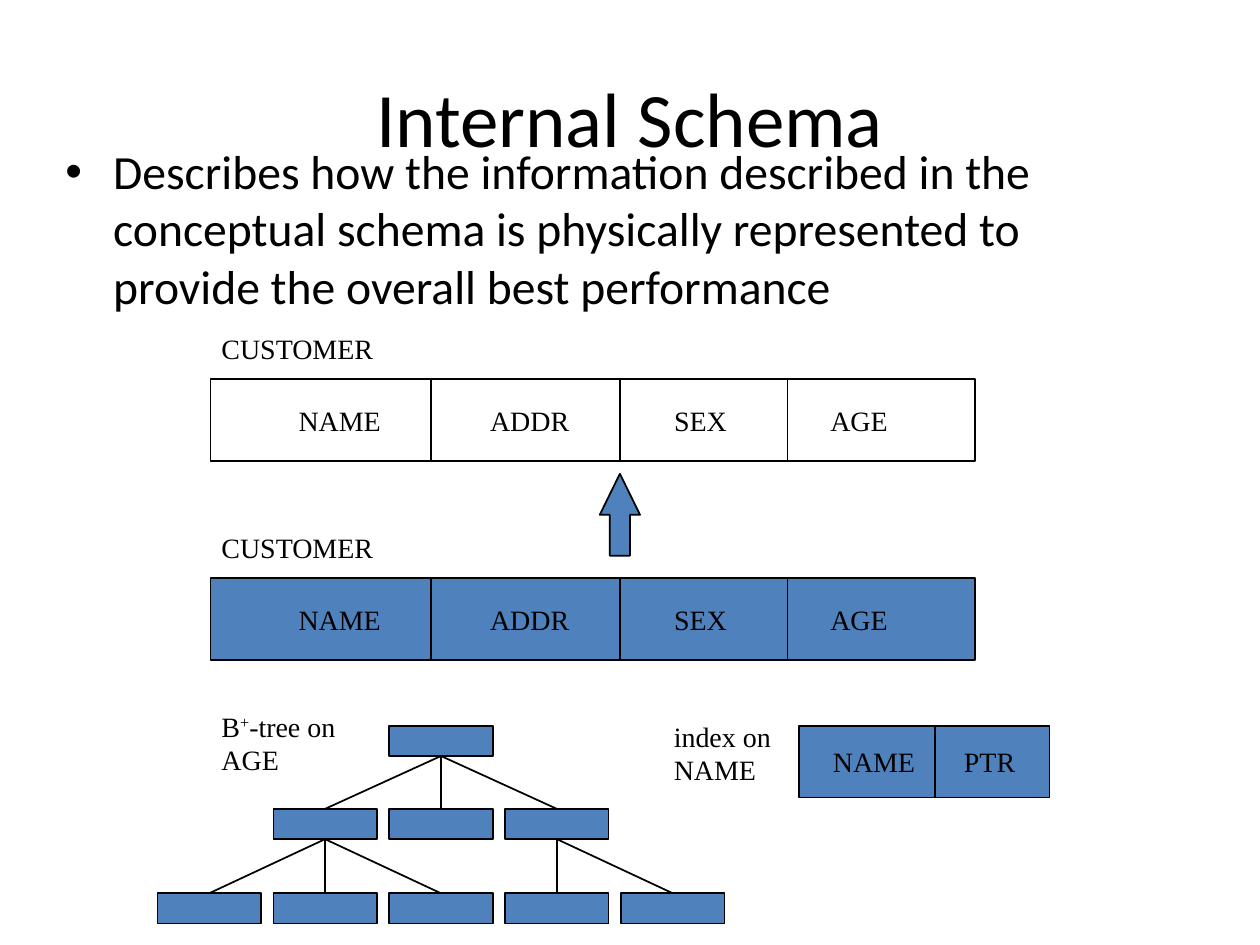
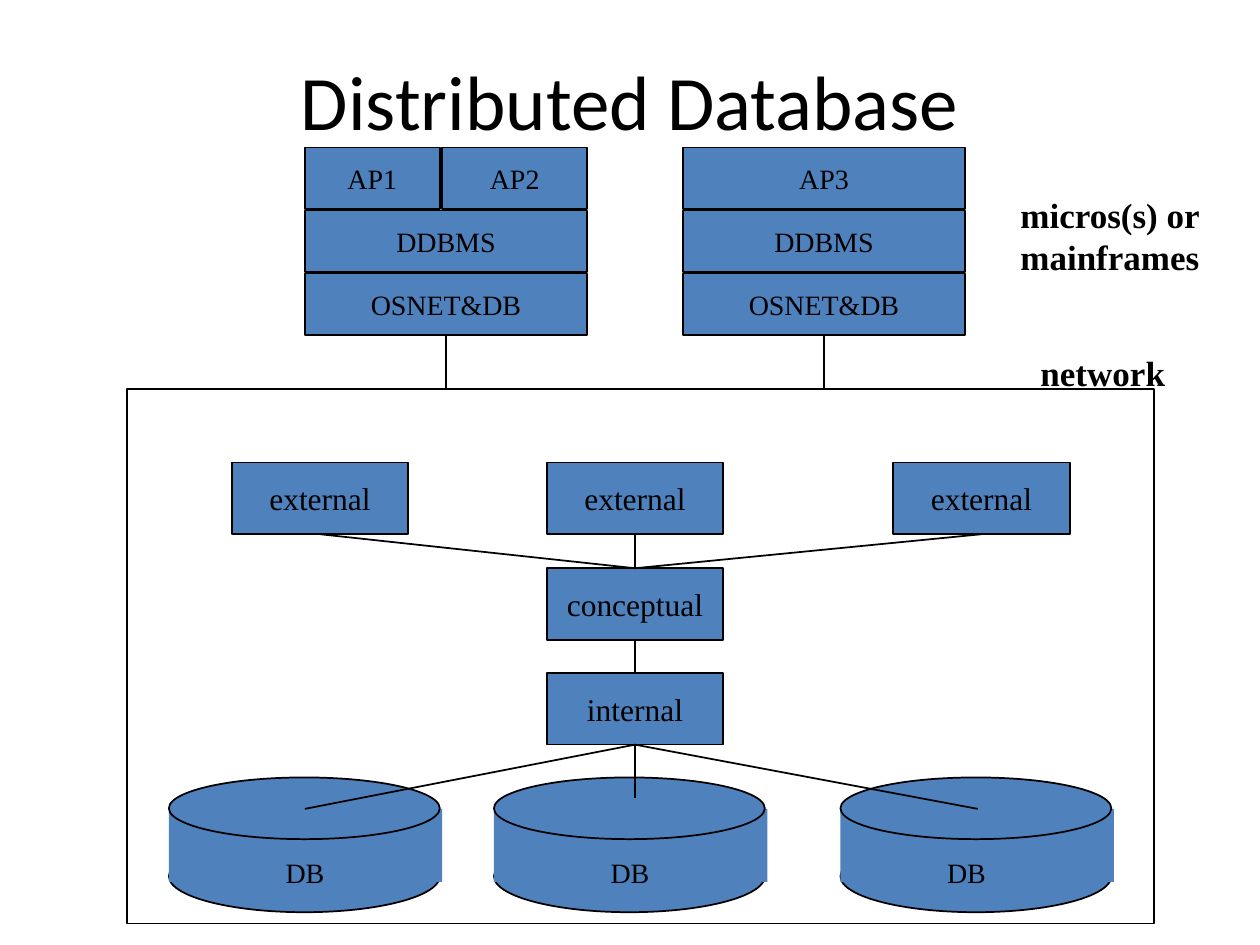
from dataclasses import dataclass
from pptx import Presentation
from pptx.dml.color import RGBColor
from pptx.enum.shapes import MSO_CONNECTOR, MSO_SHAPE
from pptx.enum.text import MSO_ANCHOR, PP_ALIGN
from pptx.oxml import parse_xml
from pptx.oxml.ns import nsdecls, qn
from pptx.util import Inches, Pt
from lxml.etree import SubElement


@dataclass(frozen=True)
class Theme:
    ink: RGBColor = RGBColor(0, 0, 0)
    blue: RGBColor = RGBColor(0x4F, 0x81, 0xBD)
    white: RGBColor = RGBColor(255, 255, 255)
    sans: str = "Calibri"
    serif: str = "Times New Roman"
    title: float = 44
    body: float = 27.2
    side: float = 20
    node: float = 18
    small: float = 16
    rule: float = 1


look = Theme()


def style(part, size, face=look.serif, bold=False):
    for run in part.runs:
        font = run.font
        font.name, font.size, font.bold = face, Pt(size), bold
        font.color.rgb = look.ink


def new_slide(deck, title, *area):
    slide = deck.slides.add_slide(deck.slide_layouts[5])
    head = slide.shapes.title
    head.left, head.top, head.width, head.height = map(Inches, area)
    frame = head.text_frame
    frame.text = title
    frame.vertical_anchor = MSO_ANCHOR.MIDDLE
    frame.paragraphs[0].alignment = PP_ALIGN.CENTER
    style(frame.paragraphs[0], look.title, look.sans)
    return slide


def label(slide, area, text, size=look.small, align=PP_ALIGN.LEFT, **kind):
    frame = slide.shapes.add_textbox(*map(Inches, area)).text_frame
    frame.word_wrap = True
    part = frame.paragraphs[0]
    part.text = text
    part.alignment = align
    style(part, size, **kind)
    return part


def bullet(slide, area, text):
    part = label(slide, area, text, look.body, face=look.sans)
    props = part._p.get_or_add_pPr()
    props.set("marL", str(Inches(0.38)))
    props.set("indent", str(-Inches(0.38)))
    SubElement(props, qn("a:buFont")).set("typeface", "Arial")
    SubElement(props, qn("a:buChar")).set("char", "•")


def box(slide, area, text="", size=look.small, fill=look.blue,
        kind=MSO_SHAPE.RECTANGLE, edge=True):
    shape = slide.shapes.add_shape(kind, *map(Inches, area))
    shape.shadow.inherit = False
    shape.fill.solid()
    shape.fill.fore_color.rgb = fill
    if edge:
        shape.line.color.rgb = look.ink
        shape.line.width = Pt(look.rule)
    else:
        shape.line.fill.background()
    if text:
        frame = shape.text_frame
        frame.word_wrap = False
        frame.vertical_anchor = MSO_ANCHOR.MIDDLE
        frame.text = text
        frame.paragraphs[0].alignment = PP_ALIGN.CENTER
        style(frame.paragraphs[0], size)
    return shape


def line(slide, start, end):
    wire = slide.shapes.add_connector(
        MSO_CONNECTOR.STRAIGHT, *map(Inches, (*start, *end)))
    wire.line.color.rgb = look.ink
    wire.line.width = Pt(look.rule)
    SubElement(wire._element.spPr, qn("a:effectLst"))
    return wire


def link(slide, upper, lower):
    wire = line(slide, (0, 0), (1, 1))
    wire.begin_connect(upper, 2)
    wire.end_connect(lower, 0)


def drop(slide, upper, end):
    line(slide, (0, 0), end).begin_connect(upper, 2)


def record(slide, area, names, inset, tabs, cuts, fill=look.blue):
    left, top, width, height = area
    shape = box(slide, area, "\t".join(names), fill=fill)
    frame = shape.text_frame
    frame.word_wrap = True
    frame.margin_left = Inches(inset)
    part = frame.paragraphs[0]
    part.alignment = PP_ALIGN.LEFT
    stops = "".join(f'<a:tab pos="{Inches(tab)}" algn="l"/>' for tab in tabs)
    part._p.get_or_add_pPr().append(
        parse_xml(f'<a:tabLst {nsdecls("a")}>{stops}</a:tabLst>'))
    for cut in cuts:
        line(slide, (cut, top), (cut, top + height))


def tree(slide):
    rows = (5.76, 6.42, 7.09)
    spots = ((2,), (1, 2, 3), range(5))
    nodes = {
        (row, col): box(slide, (1.25 + 0.92 * col, top, 0.82, 0.24))
        for row, top in enumerate(rows) for col in spots[row]
    }
    kids = {(0, 2): (1, 2, 3), (1, 1): (0, 1, 2), (1, 3): (3, 4)}
    for (row, col), below in kids.items():
        for kid in below:
            link(slide, nodes[row, col], nodes[row + 1, kid])


def schema(deck):
    slide = new_slide(deck, "Internal Schema", 0.5, 0.3, 9, 1.25)
    bullet(slide, (0.42, 1.08, 9, 1.5),
           "Describes how the information described in the conceptual schema "
           "is physically represented to provide the overall best performance")
    for top, fill in ((3.01, look.white), (4.59, look.blue)):
        label(slide, (1.66, top - 0.43, 1.76, 0.36), "CUSTOMER")
        record(slide, (1.67, top, 6.07, 0.65), ("NAME", "ADDR", "SEX", "AGE"),
               0.7, (1.52, 2.98, 4.22), (3.42, 4.92, 6.25), fill)
    arrow = box(slide, (4.76, 3.76, 0.32, 0.65), kind=MSO_SHAPE.UP_ARROW)
    arrow.adjustments[1] = 1.02
    tree(slide)
    part = label(slide, (1.66, 5.58, 1.26, 0.63), "B")
    for text in ("+", "-tree on AGE"):
        part.add_run().text = text
    style(part, look.small)
    part.runs[1]._r.get_or_add_rPr().set("baseline", "30000")
    label(slide, (5.25, 5.66, 1.26, 0.63), "index on NAME")
    record(slide, (6.34, 5.76, 1.99, 0.57), ("NAME", "PTR"),
           0.27, (1.04,), (7.42,))


def stack(slide, left, apps):
    for shift, width, name in apps:
        box(slide, (left + shift, 1.17, width, 0.49), name)
    box(slide, (left, 1.67, 2.24, 0.49), "DDBMS")
    base = box(slide, (left, 2.17, 2.24, 0.49), "OSNET&DB")
    drop(slide, base, (left + 1.12, 3.09))


def drum(slide, left, mark):
    box(slide, (left, 6.67, 2.15, 0.57), kind=MSO_SHAPE.OVAL)
    box(slide, (left, 6.42, 2.17, 0.58), edge=False)
    box(slide, (left, 6.17, 2.15, 0.49), kind=MSO_SHAPE.OVAL)
    label(slide, (mark, 6.74, 0.68, 0.36), "DB", align=PP_ALIGN.CENTER)


def network(deck):
    slide = new_slide(deck, "Distributed Database", 0.25, 0.33, 9.5, 0.92)
    box(slide, (1.01, 3.09, 8.15, 4.24), fill=look.white)
    stack(slide, 2.42, ((0, 1.07, "AP1"), (1.09, 1.15, "AP2")))
    stack(slide, 5.42, ((0, 2.24, "AP3"),))
    label(slide, (8, 1.49, 1.76, 0.76), "micros(s) or mainframes",
          look.side, bold=True)
    label(slide, (8.16, 2.74, 1.43, 0.43), "network", look.side, bold=True)
    for left, mark in ((1.34, 2.08), (3.92, 4.66), (6.67, 7.33)):
        drum(slide, left, mark)

    def node(left, top, name):
        return box(slide, (left, top, 1.4, 0.57), name, look.node)

    core = node(4.34, 4.51, "conceptual")
    inner = node(4.34, 5.34, "internal")
    for left in (1.84, 4.34, 7.09):
        link(slide, node(left, 3.67, "external"), core)
    link(slide, core, inner)
    for end in ((2.42, 6.42), (5.04, 6.33), (7.76, 6.42)):
        drop(slide, inner, end)


def main():
    deck = Presentation()
    deck.slide_width, deck.slide_height = Inches(10), Inches(7.5)
    schema(deck)
    network(deck)
    deck.save("out.pptx")


if __name__ == "__main__":
    main()
